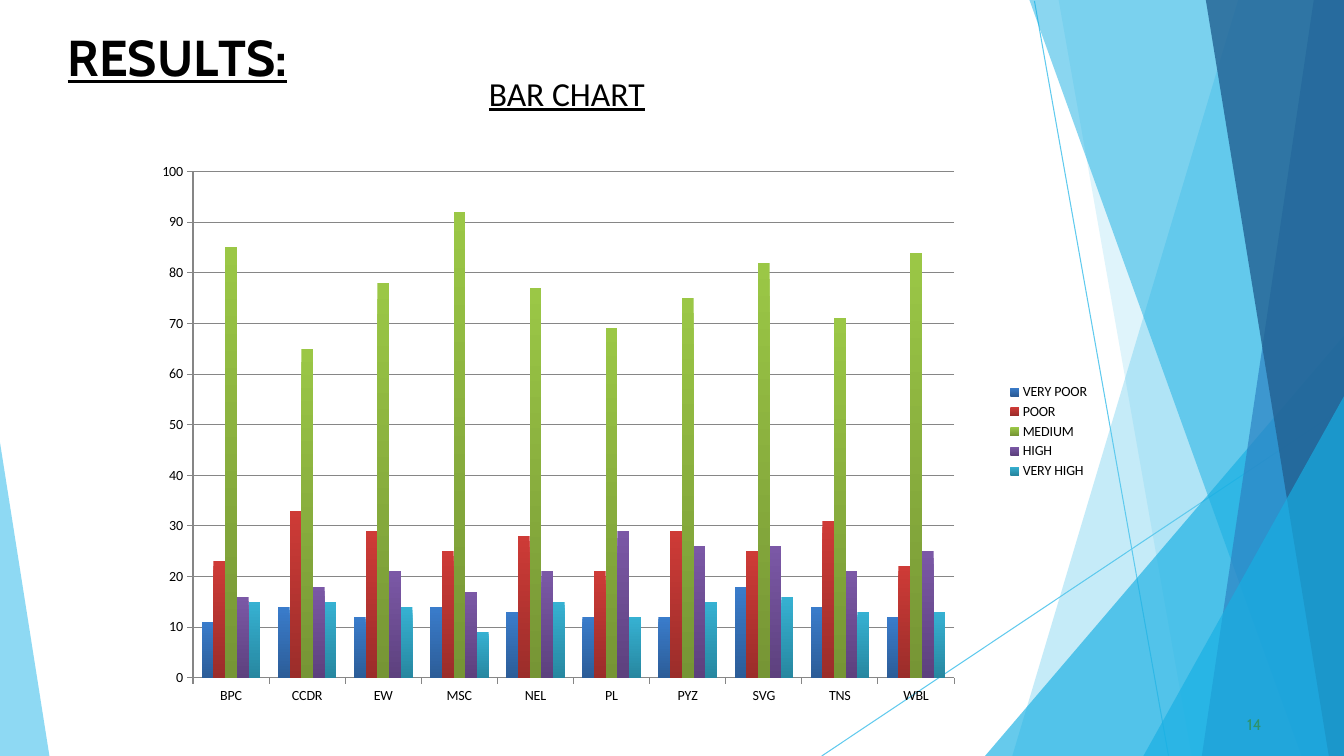
import pptx
import pptx.chart.data
import pptx.dml.color
import pptx.enum.chart
import pptx.enum.shapes
import pptx.util
from dataclasses import dataclass
from lxml import etree

PX = 9144  # EMU per px, 100 px to the inch
WIDTH, HEIGHT = 1333, 750


@dataclass(frozen=True)
class Theme:
    title_font: str = "Cabin"
    body_font: str = "Calibri"
    title_size: int = 36
    subtitle_size: int = 24
    number_size: int = 11
    chart_size: int = 10
    text: str = "000000"
    number: str = "2D936B"
    grid: str = "868686"
    sky: str = "5FCAEE"
    cyan: str = "17AFE3"
    blue: str = "2D83C3"
    navy: str = "226192"


THEME = Theme()

# Polygon points, colour, opacity in percent
FACETS = [
    ([(1333, 0), (1228, 0), (1004, 750), (1333, 750)], THEME.sky, 36),
    ([(1333, 0), (1050, 0), (1182, 750), (1333, 750)], THEME.sky, 20),
    ([(1333, 333), (977, 750), (1333, 750)], THEME.cyan, 66),
    ([(1333, 0), (1021, 0), (1291, 750), (1333, 750)], THEME.cyan, 50),
    ([(1333, 0), (1303, 0), (1192, 750), (1333, 750)], THEME.blue, 70),
    ([(1333, 0), (1196, 0), (1318, 750), (1333, 750)], THEME.navy, 80),
    ([(1333, 393), (1134, 750), (1333, 750)], THEME.cyan, 66),
    ([(0, 439), (0, 750), (49, 750)], THEME.sky, 70),
]
RAYS = [(1026, 1, 1159, 750), (1333, 404, 815, 750)]

CATEGORIES = ["BPC", "CCDR", "EW", "MSC", "NEL", "PL", "PYZ", "SVG", "TNS", "WBL"]
# Name, values, colours at the top and the foot of the bars
SERIES = [
    ("VERY POOR", (11, 14, 12, 14, 13, 12, 12, 18, 14, 12), "3A7CCB", "2C5D98"),
    ("POOR", (23, 33, 29, 25, 28, 21, 29, 25, 31, 22), "CE3B37", "9B2D2A"),
    ("MEDIUM", (85, 65, 78, 92, 77, 69, 75, 82, 71, 84), "9BC746", "769535"),
    ("HIGH", (16, 18, 21, 17, 21, 29, 26, 26, 21, 25), "7B58A6", "5D417E"),
    ("VERY HIGH", (15, 15, 14, 9, 15, 12, 15, 16, 13, 13), "36B1D2", "2787A0"),
]


def rgb(code):
    return pptx.dml.color.RGBColor.from_string(code)


def emu(*lengths):
    return [pptx.util.Emu(length * PX) for length in lengths]


def add_text(page, box, spans, *, font, size, color, bold=False, underline=False,
             insets=(0, 1, 0, 0), space_before=0):
    """Spans are pairs of text and letter spacing in points."""
    frame = page.shapes.add_textbox(*emu(*box)).text_frame
    frame.word_wrap = True
    (frame.margin_left, frame.margin_top,
     frame.margin_right, frame.margin_bottom) = emu(*insets)
    para = frame.paragraphs[0]
    para.space_before = pptx.util.Pt(space_before)
    for text, spacing in spans:
        span = para.add_run()
        span.text = text
        span.font.name = font
        span.font.size = pptx.util.Pt(size)
        span.font.bold = bold
        span.font.underline = underline
        span.font.color.rgb = rgb(color)
        if spacing:
            span.font._element.set("spc", str(round(spacing * 100)))


def add_backdrop(page, box):
    left, top = box[:2]
    # Thin rays
    for x1, y1, x2, y2 in RAYS:
        ray = page.shapes.add_connector(
            pptx.enum.shapes.MSO_CONNECTOR.STRAIGHT,
            *emu(left + x1, top + y1, left + x2, top + y2))
        ray.line.color.rgb = rgb(THEME.sky)
        ray.line.width = pptx.util.Pt(0.75)
        etree.SubElement(ray._element.spPr, pptx.oxml.ns.qn("a:effectLst"))
    # Translucent facets
    for points, color, opacity in FACETS:
        (start_x, start_y), *others = [(left + x, top + y) for x, y in points]
        builder = page.shapes.build_freeform(start_x, start_y, scale=PX)
        builder.add_line_segments(others, close=True)
        facet = builder.convert_to_shape()
        facet.shadow.inherit = False
        facet.line.fill.background()
        facet.fill.solid()
        facet.fill.fore_color.rgb = rgb(color)
        tint = facet._element.spPr.find(".//" + pptx.oxml.ns.qn("a:srgbClr"))
        etree.SubElement(tint, pptx.oxml.ns.qn("a:alpha"), val=str(opacity * 1000))


def add_headings(page, box):
    left, top = box[:2]
    add_text(page, (left, top, 225, 62),
             [("R", 0), ("E", -0.4), ("S", 0.1), ("U", -0.3), ("L", -4), ("TS:", 0)],
             font=THEME.title_font, size=THEME.title_size, color=THEME.text,
             bold=True, underline=True, space_before=1.1)
    add_text(page, (left + 408, top + 42, 192, 50), [("BAR CHART", 0)],
             font=THEME.body_font, size=THEME.subtitle_size, color=THEME.text,
             underline=True, insets=(10, 5, 10, 5))


def set_plot_layout(chart, x, y, w, h):
    """Fixes the inner plot area, in fractions of the chart."""
    qn = pptx.oxml.ns.qn
    plot_area = chart._chartSpace.chart.plotArea
    for old in plot_area.findall(qn("c:layout")):
        plot_area.remove(old)
    layout = etree.Element(qn("c:layout"))
    manual = etree.SubElement(layout, qn("c:manualLayout"))
    settings = {"layoutTarget": "inner", "xMode": "edge", "yMode": "edge",
                "x": x, "y": y, "w": w, "h": h}
    for tag, value in settings.items():
        etree.SubElement(manual, qn("c:" + tag), val=str(value))
    plot_area.insert(0, layout)


def add_results_chart(page, box):
    data = pptx.chart.data.CategoryChartData()
    data.categories = CATEGORIES
    for name, values, *_ in SERIES:
        data.add_series(name, values)
    chart = page.shapes.add_chart(
        pptx.enum.chart.XL_CHART_TYPE.COLUMN_CLUSTERED, *emu(*box), data).chart
    chart.has_title = False
    chart.font.name = THEME.body_font
    chart.font.size = pptx.util.Pt(THEME.chart_size)
    chart.font.color.rgb = rgb(THEME.text)
    set_plot_layout(chart, 0.061, 0.033, 0.788, 0.91)

    # Bars
    plot = chart.plots[0]
    plot.gap_width = 150
    plot.overlap = 0
    plot.vary_by_categories = False
    for series, (_, _, *shades) in zip(plot.series, SERIES):
        fill = series.format.fill
        fill.gradient()
        fill.gradient_angle = 270
        for stop, shade in zip(fill.gradient_stops, shades):
            stop.color.rgb = rgb(shade)

    # Axes and grid
    values = chart.value_axis
    values.minimum_scale, values.maximum_scale, values.major_unit = 0, 100, 10
    values.has_major_gridlines = True
    for axis in (values, chart.category_axis):
        axis.major_tick_mark = pptx.enum.chart.XL_TICK_MARK.OUTSIDE
    for ruled in (values, chart.category_axis, values.major_gridlines):
        ruled.format.line.color.rgb = rgb(THEME.grid)
        ruled.format.line.width = pptx.util.Pt(0.75)

    # Legend
    chart.has_legend = True
    chart.legend.position = pptx.enum.chart.XL_LEGEND_POSITION.RIGHT
    chart.legend.include_in_layout = False


def add_page_number(page, box):
    add_text(page, box, [("14", 0.1)], font=THEME.title_font,
             size=THEME.number_size, color=THEME.number,
             insets=(4, 1, 0, 0), space_before=0.6)


def main():
    deck = pptx.Presentation()
    deck.slide_width, deck.slide_height = emu(WIDTH, HEIGHT)
    page = deck.slides.add_slide(deck.slide_layouts[6])
    add_backdrop(page, (0, 0, WIDTH, HEIGHT))
    add_headings(page, (67, 25, 600, 92))
    add_page_number(page, (1233, 708, 25, 21))
    add_results_chart(page, (133, 152, 958, 552))
    deck.save("out.pptx")


if __name__ == "__main__":
    main()
